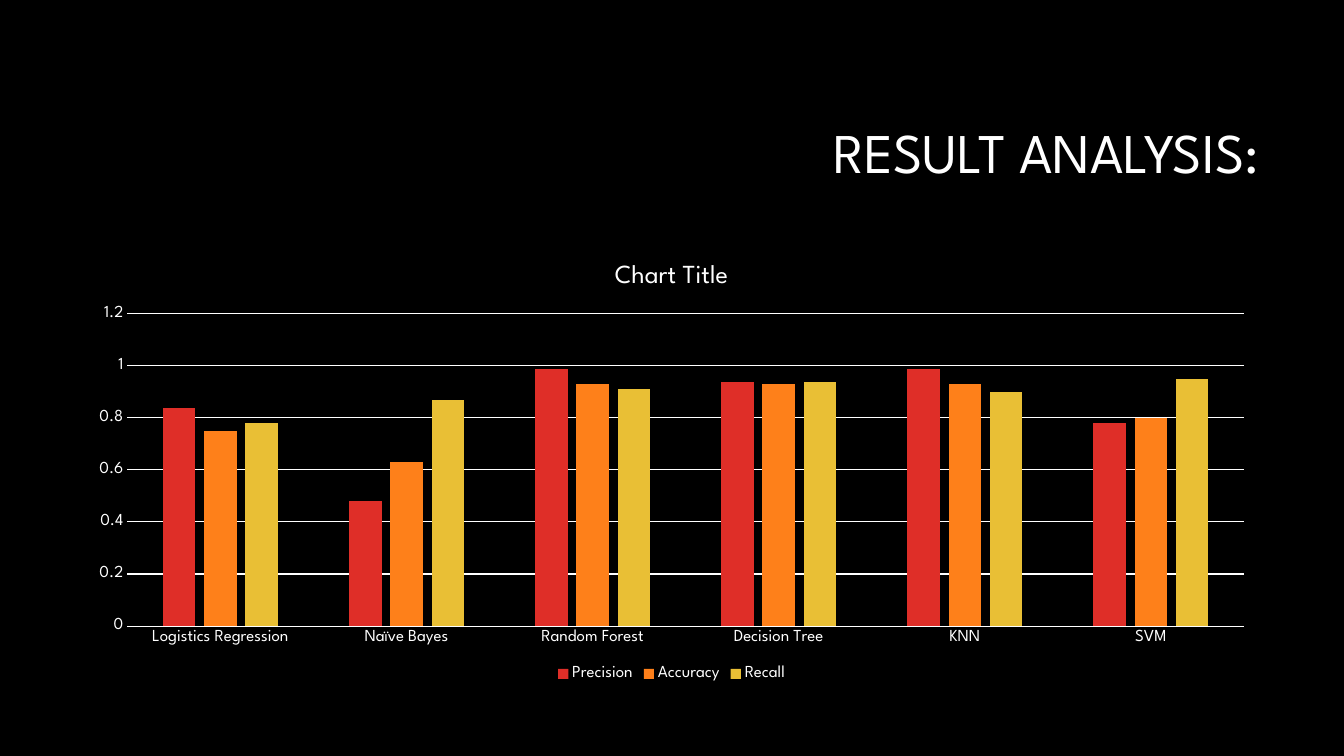
from pptx import Presentation
from pptx import util as u
from pptx.chart.data import CategoryChartData
from pptx.dml.color import RGBColor
from pptx.enum import chart as ch, text

FONT = "League Spartan"
COLOURS = {
    "background": "000000",
    "foreground": "FFFFFF",
    "Precision": "DF2E28",
    "Accuracy": "FE801A",
    "Recall": "E9BF35",
}
MODELS = ["Logistics Regression", "Naïve Bayes", "Random Forest",
          "Decision Tree", "KNN", "SVM"]
SCORES = {
    "Precision": [0.84, 0.48, 0.99, 0.94, 0.99, 0.78],
    "Accuracy": [0.75, 0.63, 0.93, 0.93, 0.93, 0.8],
    "Recall": [0.78, 0.87, 0.91, 0.94, 0.9, 0.95],
}


def apply_format(target, values):
    """Set each named attribute of target."""
    for name, value in values.items():
        setattr(target, name, value)


def colour(name):
    """Return the named colour."""
    return RGBColor.from_string(COLOURS[name])


def style_font(font, size):
    """Give a font the slide's typeface and text colour."""
    apply_format(font, {"name": FONT, "size": u.Pt(size), "bold": False})
    font.color.rgb = colour("foreground")


def style_line(line):
    """Draw a thin line in the foreground colour."""
    line.width = u.Pt(0.75)
    line.color.rgb = colour("foreground")


def style_axis(axis):
    """Remove tick marks and set the label font of an axis."""
    apply_format(axis, {"major_tick_mark": ch.XL_TICK_MARK.NONE,
                        "minor_tick_mark": ch.XL_TICK_MARK.NONE})
    style_font(axis.tick_labels.font, 12)


def add_heading(slide, wording):
    """Fill and place the title placeholder."""
    heading = slide.shapes.title
    apply_format(heading, {"left": u.Cm(8.05), "top": u.Cm(2.13),
                           "width": u.Cm(23.93), "height": u.Cm(3.58)})
    frame = heading.text_frame
    frame.text = wording
    apply_format(frame, {"vertical_anchor": text.MSO_ANCHOR.MIDDLE,
                         "word_wrap": True,
                         "auto_size": text.MSO_AUTO_SIZE.NONE})
    line = frame.paragraphs[0]
    apply_format(line, {"alignment": text.PP_ALIGN.RIGHT, "line_spacing": 0.9})
    style_font(line.runs[0].font, 40)


def add_score_chart(slide):
    """Add the clustered columns that compare the models."""
    scores = CategoryChartData()
    scores.categories = MODELS
    for measure, values in SCORES.items():
        scores.add_series(measure, values)
    chart = slide.shapes.add_chart(
        ch.XL_CHART_TYPE.COLUMN_CLUSTERED, u.Cm(1.9), u.Cm(6.1),
        u.Cm(30.05), u.Cm(11.18), scores).chart
    style_font(chart.font, 10)

    chart.has_title = True
    caption = chart.chart_title.text_frame
    caption.text = "Chart Title"
    style_font(caption.paragraphs[0].runs[0].font, 18.6)

    chart.has_legend = True
    apply_format(chart.legend, {"position": ch.XL_LEGEND_POSITION.BOTTOM,
                                "include_in_layout": False})
    style_font(chart.legend.font, 12)

    columns = chart.plots[0]
    apply_format(columns, {"gap_width": 219, "overlap": -27,
                           "vary_by_categories": False})
    for measure in columns.series:
        measure.format.fill.solid()
        measure.format.fill.fore_color.rgb = colour(measure.name)

    style_axis(chart.category_axis)
    style_line(chart.category_axis.format.line)
    score_axis = chart.value_axis
    style_axis(score_axis)
    apply_format(score_axis, {"minimum_scale": 0, "maximum_scale": 1.2,
                              "major_unit": 0.2, "has_major_gridlines": True})
    score_axis.format.line.fill.background()
    style_line(score_axis.major_gridlines.format.line)


def main():
    """Build the result slide and save it."""
    deck = Presentation()
    apply_format(deck, {"slide_width": u.Cm(33.87), "slide_height": u.Cm(19.05)})
    slide = deck.slides.add_slide(deck.slide_layouts.get_by_name("Title Only"))
    slide.background.fill.solid()
    slide.background.fill.fore_color.rgb = colour("background")
    add_heading(slide, "RESULT ANALYSIS:")
    add_score_chart(slide)
    deck.save("out.pptx")


if __name__ == "__main__":
    main()
